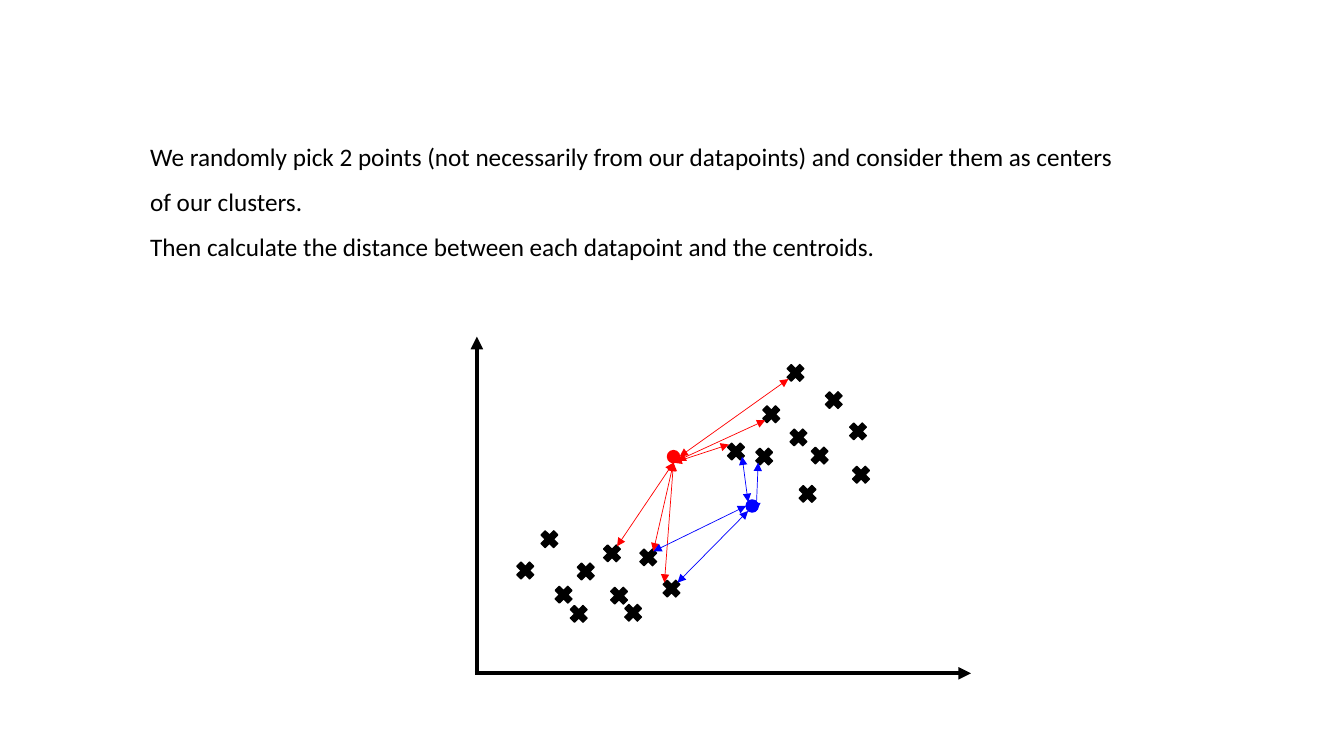
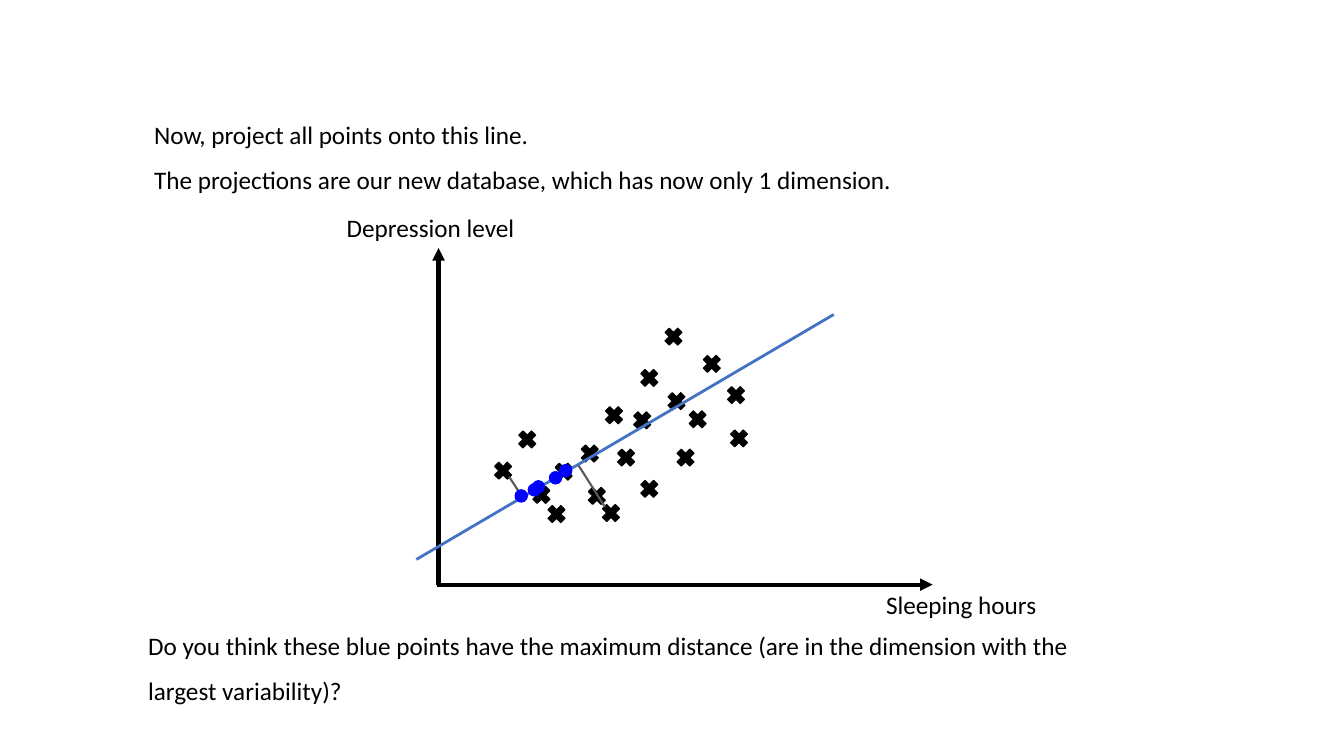
"""Build two slides on clustering distances and projection onto a line."""
import pptx
import pptx.dml.color
import pptx.enum.shapes
import pptx.enum.text
import pptx.oxml.ns
import pptx.util
from lxml import etree

Inches = pptx.util.Inches
MSO_SHAPE = pptx.enum.shapes.MSO_SHAPE
rgb = pptx.dml.color.RGBColor.from_string
qn = pptx.oxml.ns.qn

BLACK, RED, BLUE = "000000", "FF0000", "0000FF"
TREND, RESIDUAL = "4472C4", "595959"
FONT = "Calibri"
CROSS_SIZE, DOT_SIZE = 0.24, 0.12


def add_text(slide, text, left, top, width, height, size=18, colour=BLACK, spacing=1.0):
    box = slide.shapes.add_textbox(Inches(left), Inches(top), Inches(width), Inches(height))
    frame = box.text_frame
    frame.word_wrap = True
    frame.auto_size = pptx.enum.text.MSO_AUTO_SIZE.SHAPE_TO_FIT_TEXT
    frame.text = text
    for paragraph in frame.paragraphs:
        paragraph.line_spacing = spacing
        font = paragraph.runs[0].font
        font.name, font.size = FONT, pptx.util.Pt(size)
        font.color.rgb = rgb(colour)


def add_line(slide, start, end, colour, width, arrows=()):
    line = slide.shapes.add_connector(
        pptx.enum.shapes.MSO_CONNECTOR.STRAIGHT, *[Inches(value) for value in start + end])
    line.line.color.rgb = rgb(colour)
    line.line.width = pptx.util.Pt(width)
    properties = line.element.spPr
    for arrow in arrows:
        etree.SubElement(properties.ln, qn(f"a:{arrow}"), type="triangle")
    etree.SubElement(properties, qn("a:effectLst"))


deck = pptx.Presentation()
deck.slide_width, deck.slide_height = Inches(13.33), Inches(7.5)
clustering, projection = [deck.slides.add_slide(deck.slide_layouts[6]) for _ in range(2)]

add_text(clustering,
         "We randomly pick 2 points (not necessarily from our datapoints) and consider them "
         "as centers of our clusters.\n"
         "Then calculate the distance between each datapoint and the centroids.",
         1.39, 1.2, 9.75, 1.42, spacing=1.5)
add_text(projection,
         "Now, project all points onto this line.\n"
         "The projections are our new database, which has now only 1 dimension.",
         1.43, 0.98, 10.02, 0.96, spacing=1.5)

for slide, x, y in [(clustering, 4.73, 6.68), (projection, 4.35, 5.8)]:
    add_line(slide, (x - 0.02, y), (x + 4.9, y), BLACK, 3, ["tailEnd"])
    add_line(slide, (x, y), (x, y - 3.34), BLACK, 3, ["tailEnd"])

lower_cluster = [(5.94, 4.97), (6.09, 4.42), (5.47, 4.56), (6.32, 4.73), (5.4, 4.98),
                 (5.25, 4.79), (5.11, 4.24), (5.73, 4.38), (4.87, 4.55), (5.8, 4.8)]
upper_cluster = [(6.8, 4.04), (6.94, 3.49), (6.32, 3.63), (7.18, 3.8), (6.25, 4.05),
                 (6.68, 4.42), (6.59, 3.86), (5.97, 4), (7.21, 4.23), (6.56, 3.22)]
separated_points = ([(x + 0.22, y + 0.99) for x, y in lower_cluster]
                    + [(x + 1.21, y + 0.36) for x, y in upper_cluster])
projected_points = [(5.11, 4.86), (5.45, 4.68), (5.28, 4.77), (5.24, 4.8), (5.55, 4.61)]
projection_lines = [((4.13, 5.55), (8.27, 3.12), TREND, 2),
                    ((5.05, 4.73), (5.18, 4.93), RESIDUAL, 1.5),
                    ((6, 5.03), (5.74, 4.62), RESIDUAL, 1.5)]

marker_groups = [
    (clustering, [], MSO_SHAPE.MATH_MULTIPLY, CROSS_SIZE, BLACK, separated_points),
    (clustering, [], MSO_SHAPE.OVAL, DOT_SIZE, RED, [(6.62, 4.47)]),
    (clustering, [], MSO_SHAPE.OVAL, DOT_SIZE, BLUE, [(7.4, 4.96)]),
    (projection, [], MSO_SHAPE.MATH_MULTIPLY, CROSS_SIZE, BLACK, lower_cluster + upper_cluster),
    (projection, projection_lines, MSO_SHAPE.OVAL, DOT_SIZE, BLUE, projected_points),
]
for slide, lines_below, outline, size, colour, points in marker_groups:
    for line in lines_below:
        add_line(slide, *line)
    for x, y in points:
        marker = slide.shapes.add_shape(outline, Inches(x), Inches(y), Inches(size), Inches(size))
        marker.shadow.inherit = False
        marker.fill.solid()
        marker.fill.fore_color.rgb = rgb(colour)
        marker.line.color.rgb = rgb(colour)
        marker.line.width = pptx.util.Pt(1)

distances = {
    RED: [((6.68, 4.59), (6.48, 5.47)), ((6.68, 4.59), (6.12, 5.42)),
          ((6.68, 4.59), (6.59, 5.78)), ((6.68, 4.59), (7.23, 4.41)),
          ((6.72, 4.57), (7.59, 4.17)), ((6.74, 4.53), (7.82, 3.76))],
    BLUE: [((7.42, 5.07), (6.72, 5.78)), ((7.4, 5.02), (6.48, 5.47)),
           ((7.36, 4.53), (7.42, 4.98)), ((7.52, 4.59), (7.5, 5.07))],
}
for colour, spans in distances.items():
    for start, end in spans:
        add_line(clustering, start, end, colour, 0.5, ["headEnd", "tailEnd"])

add_text(projection, "Sleeping hours", 8.69, 5.8, 1.72, 0.4)
add_text(projection, "Depression level", 3.34, 2.06, 1.98, 0.4)
add_text(projection,
         "Do you think these blue points have the maximum distance (are in the dimension "
         "with the largest variability)?",
         1.37, 6.05, 10.02, 0.96, spacing=1.5)

deck.save("out.pptx")
